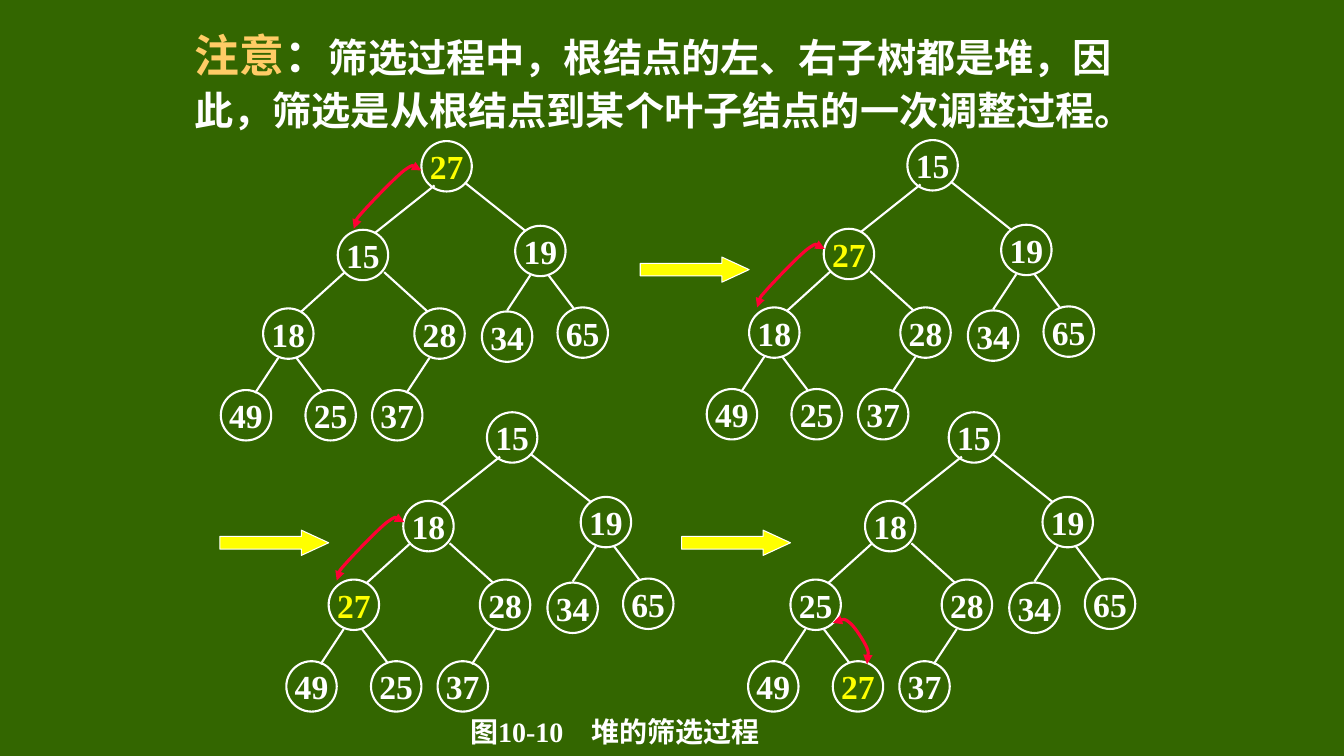
from lxml.etree import SubElement
from pptx import Presentation
from pptx.dml.color import RGBColor
from pptx.enum.shapes import MSO_CONNECTOR, MSO_SHAPE
from pptx.enum.text import MSO_ANCHOR, MSO_AUTO_SIZE, PP_ALIGN
from pptx.oxml.ns import qn
from pptx.util import Pt

PX = 9144
GREEN = RGBColor(0x33, 0x66, 0x00)
WHITE = RGBColor(0xFF, 0xFF, 0xFF)
YELLOW = RGBColor(0xFF, 0xFF, 0x00)
GOLD = RGBColor(0xFF, 0xCC, 0x66)
RED = RGBColor(0xFF, 0x00, 0x33)
SANS = "Noto Sans CJK SC"
SERIF = "Times New Roman"

SPOTS = [(0, 0), (-83, 88), (93, 84), (-157, 166), (-7, 166),
         (60, 169), (135, 165), (-199, 247), (-115, 247), (-49, 247)]
STEEP = [(15, 49, -8, 84), (33, 49, 58, 82)]
SPANS = {1: [(13, 44, -46, 91), (44, 42, 103, 89)],
         2: [(7, 42, -36, 81), (46, 42, 89, 81)],
         3: STEEP, 4: STEEP, 5: STEEP}
LONG = [(-3, -4), (-7, -7), (-17, 0), (-26, 7), (-50, 32),
        (-58, 41), (-67, 51), (-65, 55), (-67, 58)]
SHORT = [(6, -3), (11, -5), (17, 0), (22, 4), (31, 18),
         (34, 25), (36, 31), (34, 38), (34, 41)]
TREES = [
    (418, 140, [27, 15, 19, 18, 28, 34, 65, 49, 25, 37], (418, 169), LONG),
    (900, 139, [15, 27, 19, 18, 28, 34, 65, 49, 25, 37], (818, 247), LONG),
    (483, 409, [15, 18, 19, 27, 28, 34, 65, 49, 25, 37], (401, 518), LONG),
    (941, 409, [15, 18, 19, 25, 28, 34, 65, 49, 27, 37], (826, 618), SHORT),
]
ARROWS = [(635, 255), (218, 526), (676, 526)]
TITLE = [
    ("注意", dict(size=32, color=GOLD, face=SANS)),
    ("：", dict(size=32, face="Arial")),
    ("筛选过程中，根结点的左、右子树都是堆，因此，筛选是从根结点到某个叶子结点的一次调整过程",
     dict(size=28, face="Arial")),
    ("。", dict(size=28, face=SANS)),
]


def write(para, text, size=24, color=WHITE, face=SERIF):
    """Add one bold run to a paragraph."""
    run = para.add_run()
    run.text = text
    font = run.font
    font.size, font.bold, font.name = Pt(size), True, face
    font.color.rgb = color
    SubElement(font._element, qn("a:ea"), typeface=SANS)


class Board:
    """Draws the parts of the heap figure on one slide."""

    def __init__(self, slide):
        self.slide = slide
        self.shapes = slide.shapes
        fill = slide.background.fill
        fill.solid()
        fill.fore_color.rgb = GREEN

    def box(self, *rect):
        return self.shapes.add_textbox(*(n * PX for n in rect)).text_frame

    def center(self, frame, text, **style):
        frame.word_wrap = False
        frame.vertical_anchor = MSO_ANCHOR.MIDDLE
        para = frame.paragraphs[0]
        para.alignment = PP_ALIGN.CENTER
        write(para, text, **style)

    def title(self, rect, runs):
        frame = self.box(*rect)
        frame.word_wrap = True
        frame.auto_size = MSO_AUTO_SIZE.SHAPE_TO_FIT_TEXT
        para = frame.paragraphs[0]
        para.line_spacing = 1.1
        for text, style in runs:
            write(para, text, **style)

    def label(self, rect, text):
        frame = self.box(*rect)
        frame.margin_left = frame.margin_right = 0
        self.center(frame, text, size=20)

    def form(self, kind, rect, weight):
        shape = self.shapes.add_shape(kind, *(n * PX for n in rect))
        shape.shadow.inherit = False
        shape.line.color.rgb = WHITE
        shape.line.width = Pt(weight)
        return shape

    def node(self, x, y, key):
        shape = self.form(MSO_SHAPE.OVAL, (x, y, 50, 50), 1.5)
        shape.fill.background()
        color = YELLOW if key == 27 else WHITE
        self.center(shape.text_frame, str(key), color=color)

    def arrow(self, x, y):
        shape = self.form(MSO_SHAPE.RIGHT_ARROW, (x, y, 108, 25), 0.75)
        shape.adjustments[1] = 1.083
        shape.fill.solid()
        shape.fill.fore_color.rgb = YELLOW

    def edge(self, *ends):
        line = self.shapes.add_connector(
            MSO_CONNECTOR.STRAIGHT, *(n * PX for n in ends))
        line.line.color.rgb = WHITE
        line.line.width = Pt(1.5)
        SubElement(line._element.spPr, qn("a:effectLst"))

    def swap(self, x, y, steps):
        pen = self.shapes.build_freeform(x, y, scale=PX)
        pen.add_line_segments([(x + dx, y + dy) for dx, dy in steps],
                              close=False)
        curve = pen.convert_to_shape()
        curve.shadow.inherit = False
        curve.fill.background()
        curve.line.color.rgb = RED
        curve.line.width = Pt(2.25)
        legs = list(curve._element.iter(qn("a:lnTo")))
        route = legs[0].getparent()
        for i in range(0, len(legs), 3):
            bend = SubElement(route, qn("a:cubicBezTo"))
            for leg in legs[i:i + 3]:
                bend.append(leg[0])
                route.remove(leg)
        for end in ("a:headEnd", "a:tailEnd"):
            SubElement(curve.line._get_or_add_ln(), qn(end), type="triangle")

    def tree(self, x, y, keys):
        for kid in range(2, len(keys) + 1):
            top = kid // 2
            px, py = SPOTS[top - 1]
            ax, ay, bx, by = SPANS[top][kid % 2]
            self.edge(x + px + ax, y + py + ay, x + px + bx, y + py + by)
        for (dx, dy), key in zip(SPOTS, keys):
            self.node(x + dx, y + dy, key)


def main():
    deck = Presentation()
    deck.slide_width, deck.slide_height = 1333 * PX, 750 * PX
    board = Board(deck.slides.add_slide(deck.slide_layouts[6]))
    board.title((183, 17, 964, 115), TITLE)
    board.label((450, 706, 320, 39), "图10-10　堆的筛选过程")
    for x, y in ARROWS:
        board.arrow(x, y)
    for x, y, keys, start, steps in TREES:
        board.tree(x, y, keys)
        board.swap(*start, steps)
    deck.save("out.pptx")


if __name__ == "__main__":
    main()
